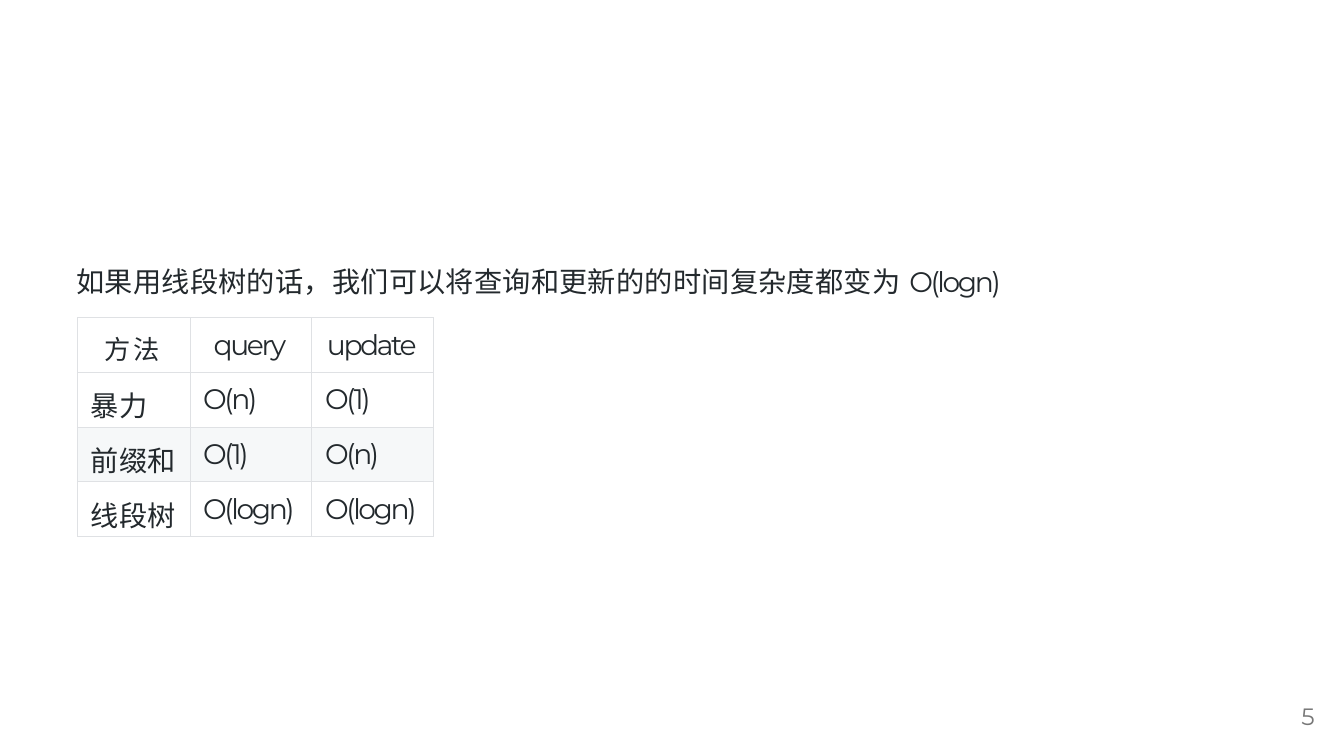
from lxml.etree import SubElement
from pptx import Presentation
from pptx.dml.color import RGBColor
from pptx.enum.text import MSO_AUTO_SIZE
from pptx.oxml.ns import qn
from pptx.util import Inches, Pt

INK = RGBColor(0x23, 0x29, 0x2D)
GREY = RGBColor(0x77, 0x77, 0x77)
BORDER = RGBColor(0xDF, 0xE1, 0xE4)
WHITE = RGBColor(0xFF, 0xFF, 0xFF)
STRIPE = RGBColor(0xF6, 0xF8, 0xF9)
LATIN = "Montserrat"
CHINESE = "Noto Sans"

COMPLEXITIES = [
    ("方法", "query", "update"),
    ("暴力", "O(n)", "O(1)"),
    ("前缀和", "O(1)", "O(n)"),
    ("线段树", "O(logn)", "O(logn)"),
]
COLUMN_WIDTHS = (1.19, 1.29, 1.29)
HEADER_INDENTS = (0.29, 0.25, 0.16)
ROW_HEIGHT = 0.58


def add_text(paragraph, text, *, size=21.5, color=INK, spacing=None):
    """Append a run; its script decides the font and the default letter spacing."""
    latin = text.isascii()
    run = paragraph.add_run()
    run.text = text
    font = run.font
    font.size = Pt(size)
    font.color.rgb = color
    font.name = LATIN if latin else CHINESE
    properties = run._r.get_or_add_rPr()
    SubElement(properties, qn("a:ea"), typeface=font.name)
    if spacing is None:
        spacing = -1.8 if latin else 0.2
    properties.set("spc", str(round(spacing * 100)))


def set_indent(paragraph, indent, space_before):
    paragraph.space_before = Pt(space_before)
    paragraph._p.get_or_add_pPr().set("marL", str(Inches(indent)))


class SlideBuilder:
    def __init__(self, slide):
        self.slide = slide

    def text_box(self, left, top, width, height, *, inset, indent, space_before):
        """Add an empty text box and return its first paragraph."""
        box = self.slide.shapes.add_textbox(
            Inches(left), Inches(top), Inches(width), Inches(height))
        frame = box.text_frame
        frame.word_wrap = True
        frame.auto_size = MSO_AUTO_SIZE.SHAPE_TO_FIT_TEXT
        frame.margin_left = frame.margin_right = frame.margin_bottom = 0
        frame.margin_top = Inches(inset)
        paragraph = frame.paragraphs[0]
        set_indent(paragraph, indent, space_before)
        return paragraph

    def cell_borders(self, cell):
        properties = cell._tc.get_or_add_tcPr()
        for side in ("lnL", "lnR", "lnT", "lnB"):
            line = SubElement(properties, qn(f"a:{side}"), w=str(Pt(0.75)))
            fill = SubElement(line, qn("a:solidFill"))
            SubElement(fill, qn("a:srgbClr"), val=str(BORDER))

    def table(self, left, top, rows):
        table = self.slide.shapes.add_table(
            len(rows), len(COLUMN_WIDTHS), Inches(left), Inches(top),
            Inches(sum(COLUMN_WIDTHS)), Inches(ROW_HEIGHT * len(rows))).table
        for column, width in zip(table.columns, COLUMN_WIDTHS):
            column.width = Inches(width)
        for r, row in enumerate(rows):
            table.rows[r].height = Inches(ROW_HEIGHT)
            for c, text in enumerate(row):
                cell = table.cell(r, c)
                self.cell_borders(cell)
                cell.fill.solid()
                cell.fill.fore_color.rgb = STRIPE if r == 2 else WHITE
                corner = r == c == 0
                cell.margin_left = cell.margin_right = cell.margin_bottom = 0
                cell.margin_top = Inches(0.11 if text.isascii() else 0.15)
                paragraph = cell.text_frame.paragraphs[0]
                set_indent(paragraph, 0.14 if r else HEADER_INDENTS[c],
                           9.6 if corner else 8.1)
                if corner:
                    add_text(paragraph, text, size=20, spacing=2)
                else:
                    add_text(paragraph, text)


def main():
    presentation = Presentation()
    presentation.slide_width = Inches(14.22)
    presentation.slide_height = Inches(8)
    builder = SlideBuilder(
        presentation.slides.add_slide(presentation.slide_layouts[6]))

    statement = builder.text_box(0.8, 2.78, 10, 0.39, inset=0.02,
                                 indent=0.01, space_before=1.2)
    add_text(statement, "如果用线段树的话，我们可以将查询和更新的的时间复杂度都变为 ")
    add_text(statement, "O(logn)")

    page_number = builder.text_box(13.61, 7.4, 0.32, 0.36, inset=0.03,
                                   indent=0.16, space_before=2.4)
    add_text(page_number, "5", size=18, color=GREY, spacing=-2.4)

    builder.table(0.82, 3.36, COMPLEXITIES)
    presentation.save("out.pptx")


if __name__ == "__main__":
    main()
